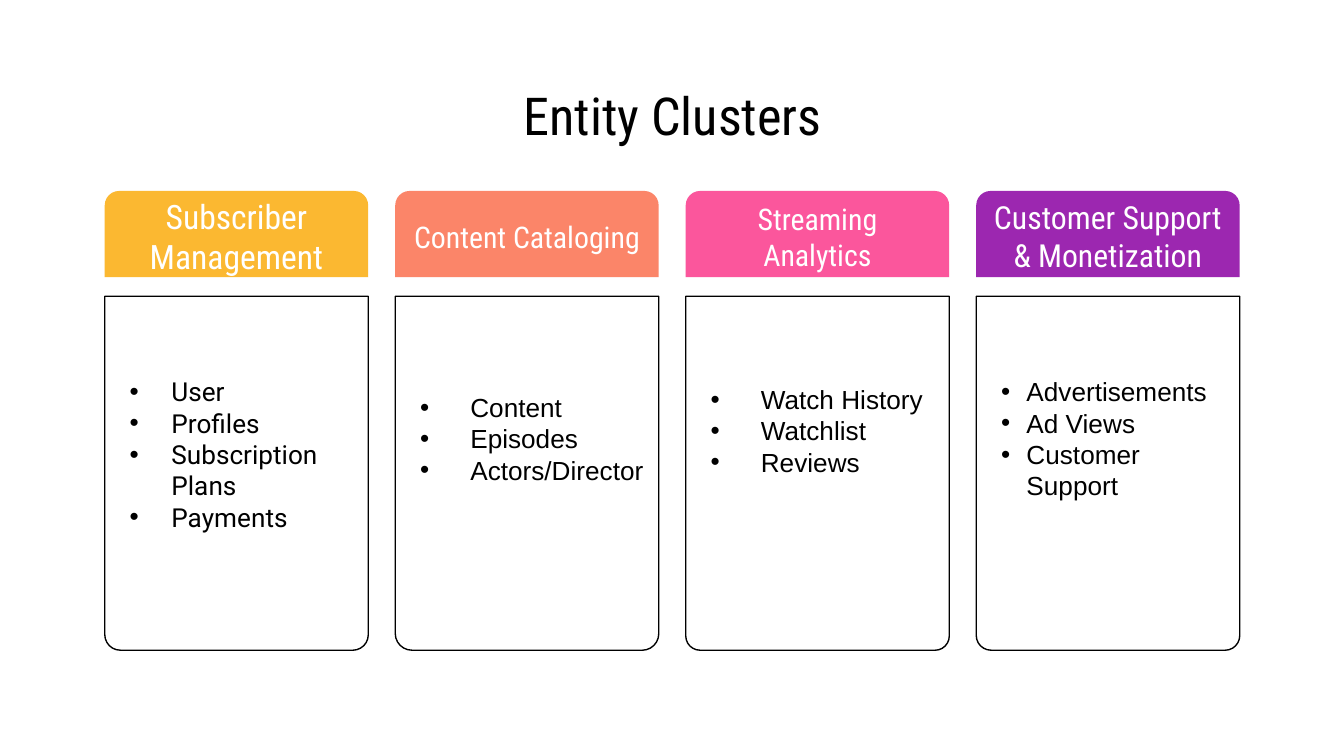
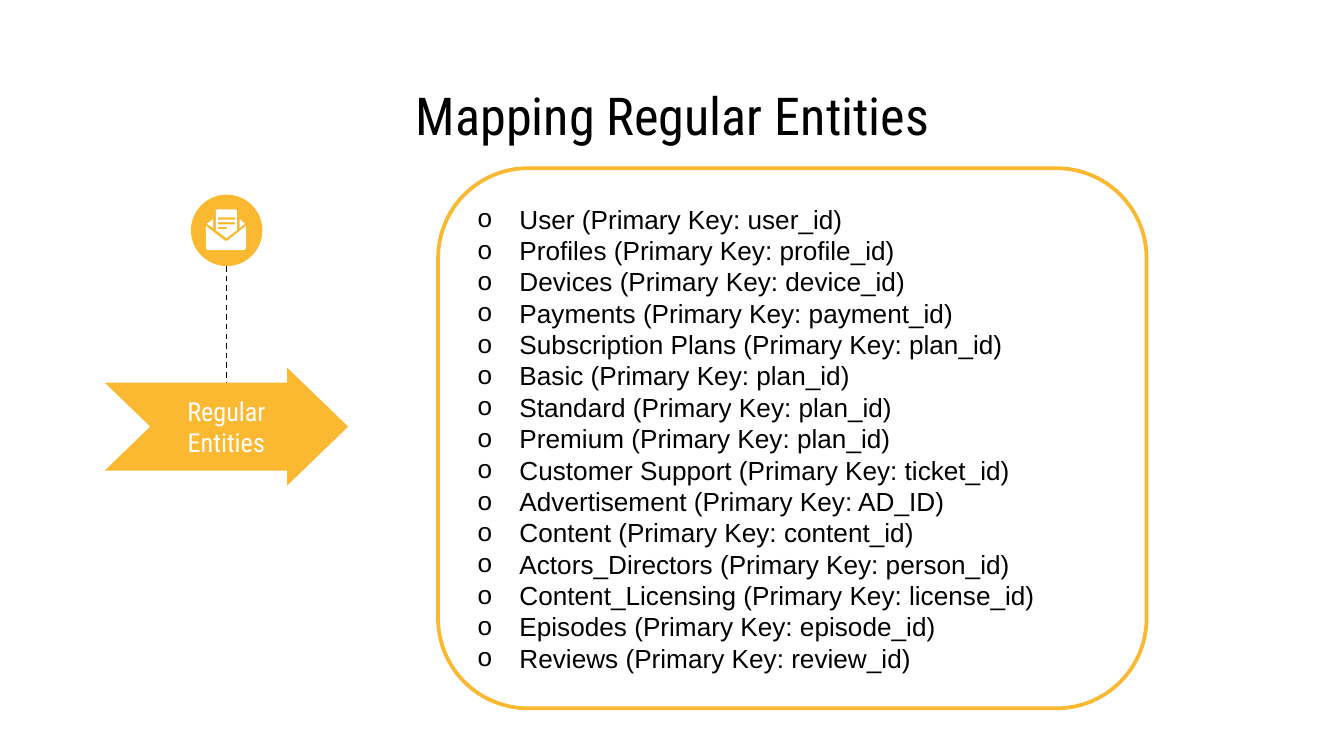
from lxml.etree import SubElement
from pptx import Presentation
from pptx.dml.color import RGBColor
from pptx.enum.dml import MSO_LINE
from pptx.enum.shapes import MSO_CONNECTOR, MSO_SHAPE
from pptx.enum.text import MSO_ANCHOR, MSO_AUTO_SIZE, PP_ALIGN
from pptx.oxml.ns import qn
from pptx.util import Cm, Pt

COLORS = {
    "black": "000000",
    "white": "FFFFFF",
    "amber": "FBB831",
    "coral": "FB8569",
    "pink": "FB569C",
    "purple": "9C27B0",
}
HEADING_FONT = "Roboto Condensed"
BODY_FONT = "Arial"
MARGIN = 1.98
INSET = 0.25

# heading, heading size, color, corner, items, font, indent, list top, list width, bottom inset
CLUSTERS = [
    ("Subscriber Management", 18, "amber", 0.059,
     ["User", "Profiles", "Subscription Plans", "Payments"], "Roboto", 0.79, 5.61, 4.55, INSET),
    ("Content Cataloging", 16, "coral", 0.063,
     ["Content", "Episodes", "Actors/Director"], BODY_FONT, 0.95, 5.61, 4.95, 0.84),
    ("Streaming Analytics", 16, "pink", 0.054,
     ["Watch History", "Watchlist", "Reviews"], BODY_FONT, 0.95, 5.16, 4.55, INSET),
    ("Customer Support & Monetization", 17, "purple", 0.056,
     ["Advertisements", "Ad Views", "Customer Support"], BODY_FONT, 0.48, 5.31, 4.55, INSET),
]

PRIMARY_KEYS = [
    ("User", "user_id"),
    ("Profiles", "profile_id"),
    ("Devices", "device_id"),
    ("Payments", "payment_id"),
    ("Subscription Plans", "plan_id"),
    ("Basic", "plan_id"),
    ("Standard", "plan_id"),
    ("Premium", "plan_id"),
    ("Customer Support", "ticket_id"),
    ("Advertisement", "AD_ID"),
    ("Content", "content_id"),
    ("Actors_Directors", "person_id"),
    ("Content_Licensing", "license_id"),
    ("Episodes", "episode_id"),
    ("Reviews", "review_id"),
]

# Outlines in hundredths of a centimetre
ENVELOPE_BODY = [(389, 427), (389, 469), (393, 473), (461, 473), (465, 469), (465, 427),
                 (430, 455), (425, 455)]
LEFT_FLAP = [(403, 414), (391, 423), (403, 431)]
RIGHT_FLAP = [(453, 414), (453, 431), (463, 423)]
LETTER = [(410, 396), (408, 399), (408, 435), (428, 450), (448, 435), (448, 399), (446, 396)]
LETTER_LINES = [(411, 444), (420, 444), (429, 429)]  # top, right end


def color(name):
    return RGBColor.from_string(COLORS[name])


class SlideBuilder:
    def __init__(self):
        self.deck = Presentation()
        self.deck.slide_width = Cm(25.4)
        self.deck.slide_height = Cm(14.29)
        self.page = None

    def add_page(self, title):
        self.page = self.deck.slides.add_slide(self.deck.slide_layouts[5])
        box = self.page.shapes.title
        box.left, box.top, box.width, box.height = Cm(MARGIN), Cm(1.5), Cm(21.46), Cm(1.35)
        self.fill_text(box, [title], 28, HEADING_FONT)

    def fill_text(self, box, lines, size, font, ink="black", align=PP_ALIGN.CENTER,
                  bullet=None, indent=0, margins=(INSET,) * 4):
        """Fill a box with one paragraph per line; margins run left, top, right, bottom."""
        frame = box.text_frame
        frame.word_wrap = True
        frame.auto_size = MSO_AUTO_SIZE.NONE
        frame.vertical_anchor = MSO_ANCHOR.MIDDLE
        (frame.margin_left, frame.margin_top,
         frame.margin_right, frame.margin_bottom) = map(Cm, margins)
        for index, line in enumerate(lines):
            para = frame.add_paragraph() if index else frame.paragraphs[0]
            para.alignment = align
            if bullet:
                self.set_bullet(para, bullet, indent)
            span = para.add_run()
            span.text = line
            span.font.size = Pt(size)
            span.font.name = font
            span.font.color.rgb = color(ink)

    def set_bullet(self, para, bullet, indent):
        properties = para._p.get_or_add_pPr()
        properties.set("marL", str(Cm(indent)))
        properties.set("indent", str(-Cm(indent)))
        tint = SubElement(properties, qn("a:buClr"))
        SubElement(tint, qn("a:srgbClr"), val=COLORS["black"])
        SubElement(properties, qn("a:buFont"), typeface=BODY_FONT)
        SubElement(properties, qn("a:buChar"), char=bullet)

    def paint(self, shape, fill=None, line=None, line_width=0.75):
        shape.shadow.inherit = False
        if fill:
            shape.fill.solid()
            shape.fill.fore_color.rgb = color(fill)
        else:
            shape.fill.background()
        if line:
            shape.line.color.rgb = color(line)
            shape.line.width = Pt(line_width)
        else:
            shape.line.fill.background()

    def add_shape(self, kind, left, top, width, height, adjustments=(), **paint):
        shape = self.page.shapes.add_shape(kind, Cm(left), Cm(top), Cm(width), Cm(height))
        for index, value in enumerate(adjustments):
            shape.adjustments[index] = value
        self.paint(shape, **paint)
        return shape

    def add_list(self, left, top, width, height, items, font, indent, bottom):
        box = self.page.shapes.add_textbox(Cm(left), Cm(top), Cm(width), Cm(height))
        self.fill_text(box, items, 14, font, align=PP_ALIGN.LEFT, bullet="•", indent=indent,
                       margins=(INSET, INSET, INSET, bottom))

    def add_dashed_line(self, x, top, bottom):
        line = self.page.shapes.add_connector(
            MSO_CONNECTOR.STRAIGHT, Cm(x), Cm(top), Cm(x), Cm(bottom))
        line.line.color.rgb = color("black")
        line.line.width = Pt(0.75)
        line.line.dash_style = MSO_LINE.DASH
        SubElement(line._element.spPr, qn("a:effectLst"))

    def add_outline(self, contours, fill):
        """Draw closed contours as one shape; inner contours become holes."""
        first, *holes = contours
        builder = self.page.shapes.build_freeform(*first[0], scale=Cm(0.01))
        builder.add_line_segments(first[1:], close=True)
        for hole in holes:
            builder.move_to(*hole[0])
            builder.add_line_segments(hole[1:], close=True)
        self.paint(builder.convert_to_shape(), fill=fill)


def build_clusters(slides):
    slides.add_page("Entity Clusters")
    width, pitch = 4.98, 5.49
    for column, cluster in enumerate(CLUSTERS):
        heading, size, fill, corner, items, font, indent, top, list_width, bottom = cluster
        left = MARGIN + column * pitch
        panel = slides.add_shape(MSO_SHAPE.ROUND_2_SAME_RECTANGLE, left, 5.6, width, 6.69,
                                 (corner, 0), line="black")
        panel.rotation = 180
        slides.add_list(left + 0.22, top, list_width, 5.95, items, font, indent, bottom)
        header = slides.add_shape(MSO_SHAPE.ROUND_2_SAME_RECTANGLE, left, 3.61, width, 1.63,
                                  (0.167, 0), fill=fill)
        slides.fill_text(header, [heading], size, HEADING_FONT, "white")


def add_envelope(slides):
    slots = [[(412, top), (right, top), (right, top + 4), (412, top + 4)]
             for top, right in LETTER_LINES]
    for contours in ([ENVELOPE_BODY], [LEFT_FLAP], [RIGHT_FLAP], [LETTER, *slots]):
        slides.add_outline(contours, "white")


def build_mapping(slides):
    slides.add_page("Mapping Regular Entities")
    slides.add_dashed_line(4.28, 5.03, 7.37)
    slides.add_shape(MSO_SHAPE.OVAL, 3.61, 3.68, 1.35, 1.35, fill="amber")
    arrow = slides.add_shape(MSO_SHAPE.NOTCHED_RIGHT_ARROW, MARGIN, 6.95, 4.6, 2.23,
                             (0.747, 0.517), fill="amber")
    slides.fill_text(arrow, ["Regular Entities"], 14, HEADING_FONT, "white")
    add_envelope(slides)
    card = slides.add_shape(MSO_SHAPE.ROUNDED_RECTANGLE, 8.28, 3.18, 13.39, 10.21,
                            fill="white", line="amber", line_width=2)
    lines = [f"{entity} (Primary Key: {key})" for entity, key in PRIMARY_KEYS]
    slides.fill_text(card, lines, 14, BODY_FONT, align=PP_ALIGN.LEFT, bullet="o", indent=0.79,
                     margins=(0.25, 0.13, 0.25, 0.13))


def main():
    slides = SlideBuilder()
    build_clusters(slides)
    build_mapping(slides)
    slides.deck.save("out.pptx")


if __name__ == "__main__":
    main()
